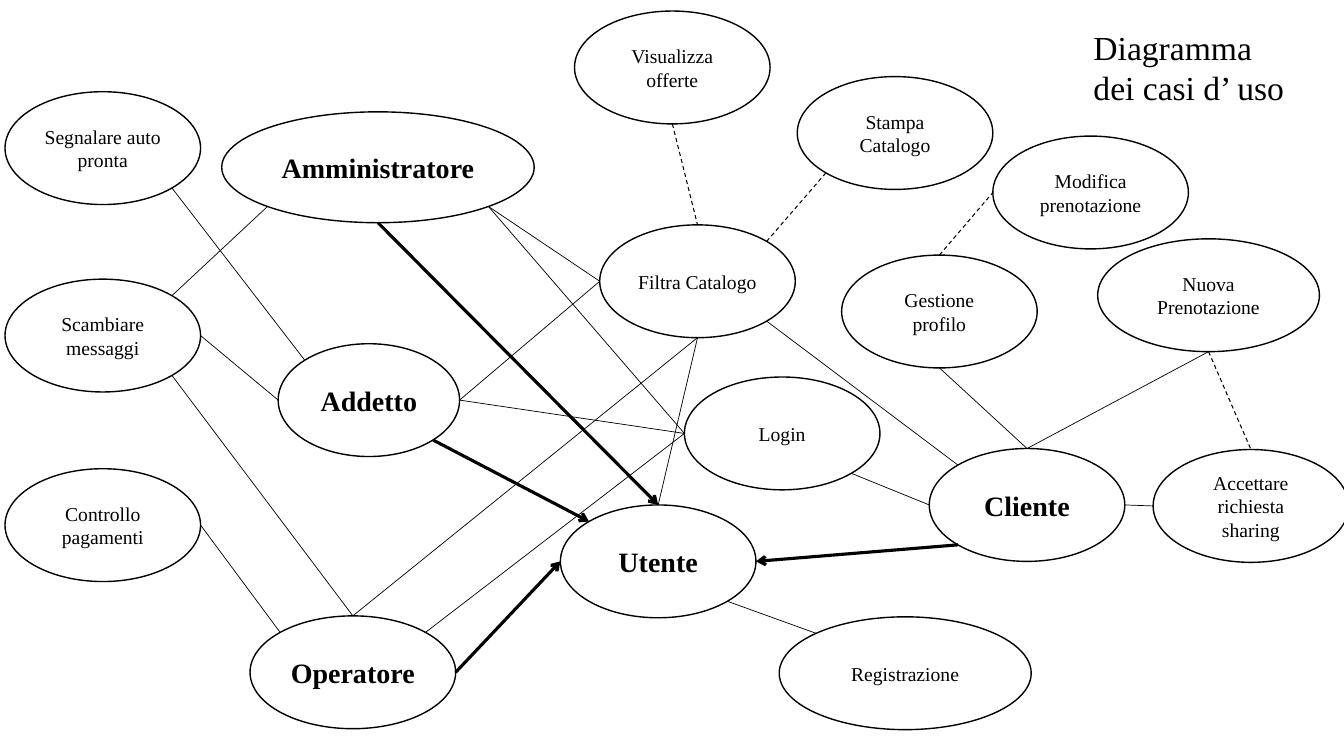
from dataclasses import dataclass
from enum import IntEnum
from math import cos, radians, sin

from lxml.etree import SubElement
from pptx import Presentation
from pptx.dml.color import RGBColor
from pptx.enum.dml import MSO_LINE_DASH_STYLE as Dash
from pptx.enum.shapes import MSO_CONNECTOR as Connector, MSO_SHAPE as Preset
from pptx.enum.text import MSO_ANCHOR as Anchor, PP_ALIGN as Align
from pptx.oxml.ns import qn
from pptx.util import Pt


class Site(IntEnum):
    """Connection sites of an ellipse, counter-clockwise in steps of 45 degrees."""
    TOP = 0
    TOP_LEFT = 1
    LEFT = 2
    BOTTOM_LEFT = 3
    BOTTOM = 4
    BOTTOM_RIGHT = 5
    RIGHT = 6
    TOP_RIGHT = 7


@dataclass(frozen=True)
class Theme:
    font: str = "Times New Roman"
    ink: RGBColor = RGBColor(0, 0, 0)
    paper: RGBColor = RGBColor(255, 255, 255)
    title_size: float = 24
    actor_size: float = 20
    case_size: float = 14
    outline: float = 1
    association: float = 0.5
    extension: float = 0.75
    inheritance: float = 2.25


class UseCaseDiagram:
    def __init__(self, slide, theme):
        self.slide = slide
        self.theme = theme

    def set_text(self, frame, text, size, bold=False, align=Align.LEFT):
        frame.word_wrap = True
        frame.text = text
        for paragraph in frame.paragraphs:
            paragraph.alignment = align
            for run in paragraph.runs:
                run.font.name = self.theme.font
                run.font.size = Pt(size)
                run.font.bold = bold
                run.font.color.rgb = self.theme.ink

    def title(self, text, left, top, width, height):
        box = self.slide.shapes.add_textbox(Pt(left), Pt(top), Pt(width), Pt(height))
        self.set_text(box.text_frame, text, self.theme.title_size)

    def ellipse(self, text, size, bold, left, top, width=139.7, height=80.6):
        oval = self.slide.shapes.add_shape(
            Preset.OVAL, Pt(left), Pt(top), Pt(width), Pt(height))
        oval.shadow.inherit = False
        oval.fill.solid()
        oval.fill.fore_color.rgb = self.theme.paper
        oval.line.color.rgb = self.theme.ink
        oval.line.width = Pt(self.theme.outline)
        oval.text_frame.vertical_anchor = Anchor.MIDDLE
        self.set_text(oval.text_frame, text, size, bold, Align.CENTER)
        return oval

    def actor(self, text, *place):
        return self.ellipse(text, self.theme.actor_size, True, *place)

    def case(self, text, *place):
        return self.ellipse(text, self.theme.case_size, False, *place)

    @staticmethod
    def site_point(oval, site):
        angle = radians(90 + 45 * site)
        return (round(oval.left + oval.width / 2 * (1 + cos(angle))),
                round(oval.top + oval.height / 2 * (1 - sin(angle))))

    def link(self, source, source_site, target, target_site, weight):
        line = self.slide.shapes.add_connector(
            Connector.STRAIGHT, *self.site_point(source, source_site),
            *self.site_point(target, target_site))
        line.line.color.rgb = self.theme.ink
        line.line.width = Pt(weight)
        # Glue both ends to the ellipses
        glue = line._element.find(".//" + qn("p:cNvCxnSpPr"))
        for tag, oval, site in (("a:stCxn", source, source_site),
                                ("a:endCxn", target, target_site)):
            SubElement(glue, qn(tag), id=str(oval.shape_id), idx=str(int(site)))
        SubElement(line._element.spPr, qn("a:effectLst"))
        return line

    def association(self, *ends):
        self.link(*ends, self.theme.association)

    def extension(self, *ends):
        self.link(*ends, self.theme.extension).line.dash_style = Dash.DASH

    def inheritance(self, *ends):
        arrow = self.link(*ends, self.theme.inheritance)
        outline = arrow._element.spPr.find(qn("a:ln"))
        SubElement(outline, qn("a:tailEnd"), type="arrow")


prs = Presentation()
prs.slide_width, prs.slide_height = Pt(960), Pt(540)
diagram = UseCaseDiagram(prs.slides.add_slide(prs.slide_layouts[6]), Theme())

diagram.title("Diagramma\ndei casi d’ uso", 774, 15.8, 158.4, 65.5)

# Actors
utente = diagram.actor("Utente", 400.3, 360.7)
operatore = diagram.actor("Operatore", 178.6, 439.9, 146.9)
cliente = diagram.actor("Cliente", 663.8, 320.4)
amministratore = diagram.actor("Amministratore", 158.4, 79.9, 223.2, 79.2)
addetto = diagram.actor("Addetto", 198.7, 245.5, 129.6)

# Use cases
segnalare = diagram.case("Segnalare auto pronta", 3.6, 65.5)
scambiare = diagram.case("Scambiare messaggi", 3.6, 199.4)
controllo = diagram.case("Controllo pagamenti", 3.6, 334.8)
visualizza = diagram.case("Visualizza offerte", 410.4, 7.9)
stampa = diagram.case("Stampa Catalogo", 569.5, 54.7)
filtra = diagram.case("Filtra Catalogo", 428.4, 160.6)
login = diagram.case("Login", 488.9, 269.3)
registrazione = diagram.case("Registrazione", 556.6, 440.6, 180)
gestione = diagram.case("Gestione profilo", 601.2, 182.2)
modifica = diagram.case("Modifica prenotazione", 709.2, 97.2)
nuova = diagram.case("Nuova Prenotazione", 784.1, 170.6, 158.4)
accettare = diagram.case("Accettare richiesta sharing", 823.7, 321.1)

# Actors taking part in use cases
for ends in (
    (segnalare, Site.BOTTOM_RIGHT, addetto, Site.TOP_LEFT),
    (scambiare, Site.RIGHT, addetto, Site.LEFT),
    (scambiare, Site.TOP_RIGHT, amministratore, Site.BOTTOM_LEFT),
    (scambiare, Site.BOTTOM_RIGHT, operatore, Site.TOP),
    (operatore, Site.TOP_LEFT, controllo, Site.RIGHT),
    (amministratore, Site.BOTTOM_RIGHT, filtra, Site.LEFT),
    (amministratore, Site.BOTTOM_RIGHT, login, Site.LEFT),
    (login, Site.LEFT, addetto, Site.RIGHT),
    (operatore, Site.TOP_RIGHT, login, Site.LEFT),
    (login, Site.BOTTOM_RIGHT, cliente, Site.LEFT),
    (utente, Site.BOTTOM_RIGHT, registrazione, Site.TOP_LEFT),
    (cliente, Site.RIGHT, accettare, Site.LEFT),
    (filtra, Site.BOTTOM_RIGHT, cliente, Site.TOP_LEFT),
    (nuova, Site.BOTTOM, cliente, Site.TOP),
    (gestione, Site.BOTTOM, cliente, Site.TOP),
    (filtra, Site.LEFT, addetto, Site.RIGHT),
    (operatore, Site.TOP, filtra, Site.BOTTOM),
    (filtra, Site.BOTTOM, utente, Site.TOP),
):
    diagram.association(*ends)

# Use cases extending others
for ends in (
    (visualizza, Site.BOTTOM, filtra, Site.TOP),
    (stampa, Site.BOTTOM_LEFT, filtra, Site.TOP_RIGHT),
    (gestione, Site.TOP, modifica, Site.LEFT),
    (nuova, Site.BOTTOM, accettare, Site.TOP),
):
    diagram.extension(*ends)

# Actors inheriting from Utente
for ends in (
    (amministratore, Site.BOTTOM, utente, Site.TOP),
    (addetto, Site.BOTTOM_RIGHT, utente, Site.TOP_LEFT),
    (operatore, Site.RIGHT, utente, Site.LEFT),
    (cliente, Site.BOTTOM_LEFT, utente, Site.RIGHT),
):
    diagram.inheritance(*ends)

prs.save("out.pptx")
